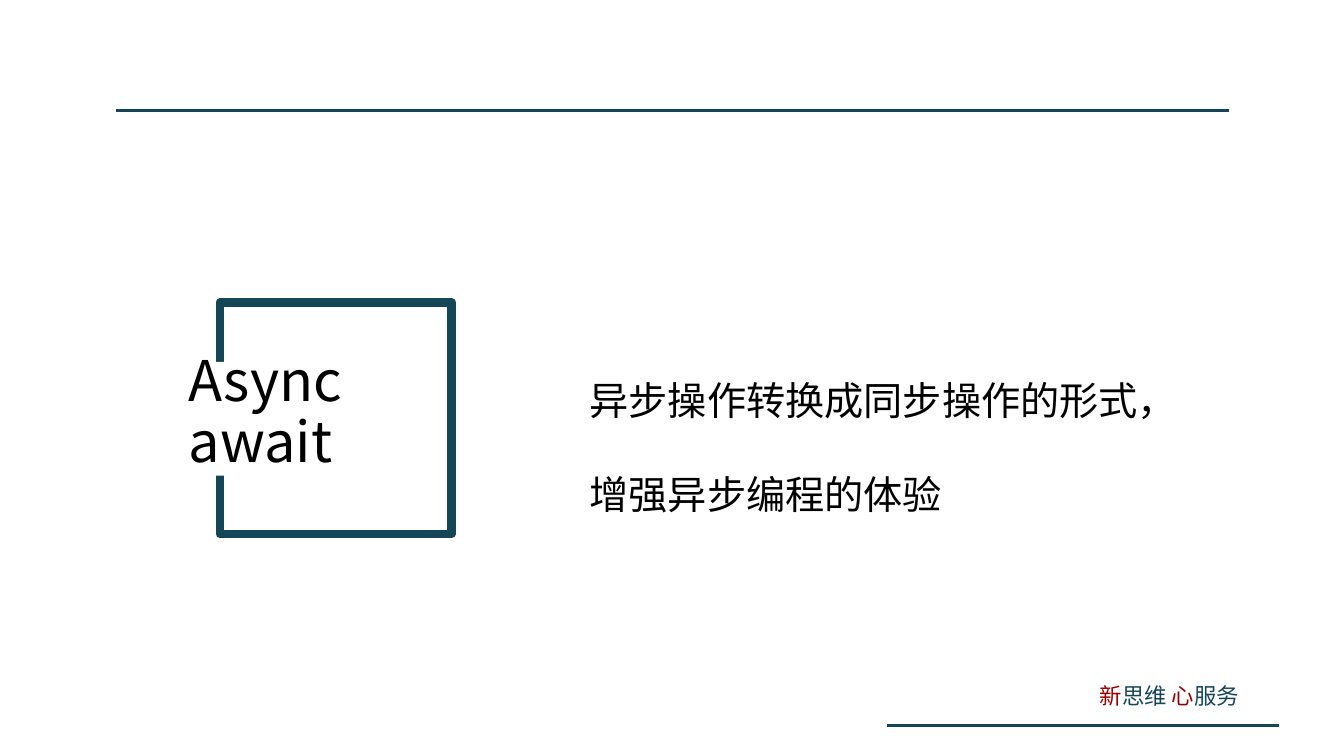
from lxml.etree import SubElement
from pptx import Presentation
from pptx.dml.color import RGBColor
from pptx.enum.shapes import MSO_CONNECTOR, MSO_SHAPE
from pptx.enum.text import MSO_ANCHOR, MSO_AUTO_SIZE, PP_ALIGN
from pptx.oxml.ns import qn
from pptx.util import Inches, Pt

WIDE, HIGH = 13.33, 7.5
FONT = "Noto Sans CJK SC"
TEAL, RED, BLACK, WHITE = "154658", "9A0000", "000000", "FFFFFF"


def color(code):
    return RGBColor.from_string(code)


def place(*box):
    return [Inches(n) for n in box]


def style(para, size, gap=1.0):
    para.alignment = PP_ALIGN.LEFT
    para.line_spacing = gap
    para.font.size = Pt(size)
    para.font.name = FONT
    para.font.color.rgb = color(BLACK)
    props = para._p.pPr.find(qn("a:defRPr"))
    SubElement(props, qn("a:ea")).set("typeface", FONT)


def add_text(slide, box, lines, size, gap=1.0):
    frame = slide.shapes.add_textbox(*place(*box)).text_frame
    frame.word_wrap = True
    for i, parts in enumerate(lines):
        para = frame.add_paragraph() if i else frame.paragraphs[0]
        style(para, size, gap)
        for words, tint in parts:
            run = para.add_run()
            run.text = words
            run.font.color.rgb = color(tint)


def add_rule(slide, left, right, y):
    rule = slide.shapes.add_connector(
        MSO_CONNECTOR.STRAIGHT, *place(left, y, right, y))
    rule.line.color.rgb = color(TEAL)
    rule.line.width = Pt(2.25)
    SubElement(rule._element.spPr, qn("a:effectLst"))


def add_rect(slide, box, fill=None, edge=None):
    rect = slide.shapes.add_shape(MSO_SHAPE.RECTANGLE, *place(*box))
    rect.shadow.inherit = False
    if fill:
        rect.fill.solid()
        rect.fill.fore_color.rgb = color(fill)
    else:
        rect.fill.background()
    if edge:
        rect.line.color.rgb = color(edge)
        rect.line.width = Pt(6)
    else:
        rect.line.fill.background()


def set_title(slide, box, words):
    title = slide.shapes.title
    title.left, title.top, title.width, title.height = place(*box)
    frame = title.text_frame
    frame.text = words
    frame.word_wrap = True
    frame.auto_size = MSO_AUTO_SIZE.NONE
    frame.vertical_anchor = MSO_ANCHOR.MIDDLE
    style(frame.paragraphs[0], 40, 0.9)
    tree = slide.shapes._spTree
    tree.remove(title._element)
    tree.append(title._element)


def main():
    deck = Presentation()
    deck.slide_width, deck.slide_height = place(WIDE, HIGH)
    slide = deck.slides.add_slide(deck.slide_layouts[5])

    add_text(slide, (5.75, 3.22, 5.81, 1.86),
             [[("异步操作转换成同步操作的形式，", BLACK)],
              [("增强异步编程的体验", BLACK)]], 28, 2.0)
    add_rule(slide, 1.15, 12.19, 1.1)
    add_rule(slide, 8.8, 12.69, 7.2)
    add_text(slide, (10.81, 6.72, 1.68, 0.37),
             [[("新", RED), ("思维 ", TEAL), ("心", RED), ("服务", TEAL)]], 16)
    add_rect(slide, (2.18, 3, 2.3, 2.3), edge=TEAL)
    add_rect(slide, (2.13, 3.59, 0.1, 1.13), fill=WHITE)
    set_title(slide, (1.77, 3.71, 3.04, 0.79), "Async await")

    deck.save("out.pptx")


if __name__ == "__main__":
    main()
